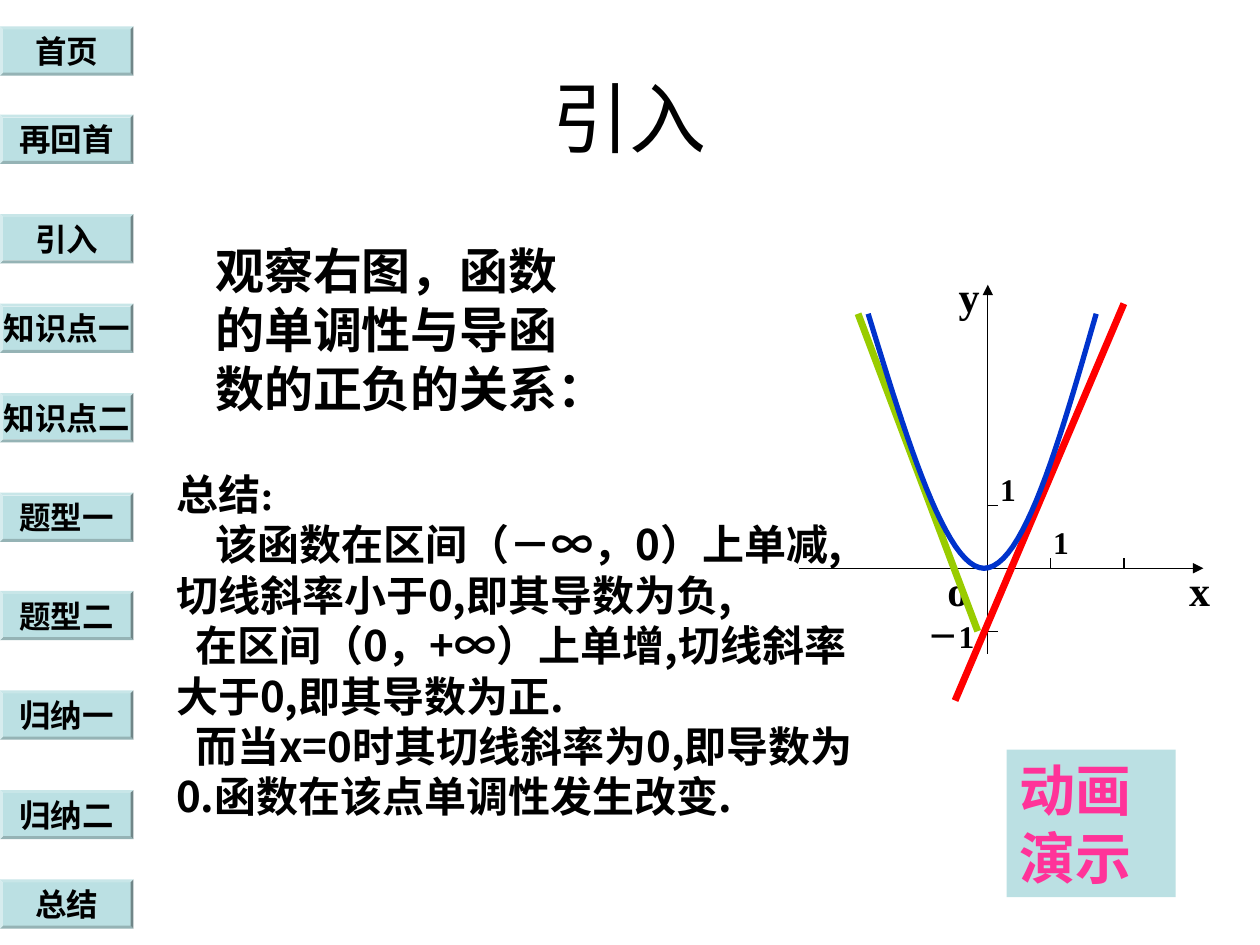
import pptx
import pptx.util
import pptx.dml.color
import pptx.enum.shapes
import pptx.enum.text
import pptx.oxml.ns
from lxml import etree
from pptx.util import Inches

COLORS = {"ink": "000000", "panel": "BBE0E3", "pink": "FF3399",
          "rising": "FF0000", "falling": "99CC00", "curve": "0033CC"}
CJK = "Noto Sans CJK SC"
SERIF = "Times New Roman"

BUTTONS = [("首页", 0.21), ("再回首", 0.91), ("引入", 1.7), ("知识点一", 2.41),
           ("知识点二", 3.12), ("题型一", 3.91), ("题型二", 4.69),
           ("归纳一", 5.48), ("归纳二", 6.27), ("总结", 6.98)]
AXES = [(7.84, 5.19, 7.84, 2.26), (6.34, 4.51, 9.55, 4.51)]
AXIS_LABELS = [("y", 7.51, 2.1, 24), ("x", 9.34, 4.43, 24), ("o", 7.42, 4.43, 24),
               ("1", 8.26, 4.1, 18), ("1", 7.84, 3.68, 18), ("－1", 7.26, 4.85, 18)]
TICKS = [(8.34, 4.51, 8.34, 4.43), (8.92, 4.51, 8.92, 4.43),
         (7.84, 5.01, 7.92, 5.01), (7.84, 4.01, 7.92, 4.01)]
TANGENTS = [("rising", (7.58, 5.56, 8.92, 2.41)),
            ("falling", (6.81, 2.49, 7.76, 5.01))]
PARABOLA = [[(6.89, 2.49), (7.2, 3.5), (7.51, 4.51), (7.81, 4.51)],
            [(7.81, 4.51), (8.12, 4.51), (8.41, 3.5), (8.7, 2.49)]]
SUMMARY = [
    (0, [("总结:", SERIF)]),
    (0.31, [("该函数在区间", SERIF), ("（－∞，0）上单减,", CJK)]),
    (0, [("切线斜率小于0,即其导数为负,", CJK)]),
    (0.15, [("在区间（0，+∞）上单增,切线斜率大于0,即其导数为正.", CJK)]),
    (0.15, [("而当x=0时其切线斜率为0,即导数为0.函数在该点单调性发生改变.", CJK)]),
]


def rgb(name):
    return pptx.dml.color.RGBColor.from_string(COLORS[name])


def add_span(para, text, size, font="Arial", color="ink", bold=True):
    span = para.add_run()
    span.text = text
    span.font.size = pptx.util.Pt(size)
    span.font.bold = bold
    span.font.name = font
    span.font.color.rgb = rgb(color)
    east_asian = etree.SubElement(span.font._element, pptx.oxml.ns.qn("a:ea"))
    east_asian.set("typeface", CJK)


def set_line_height(para, size):
    para.line_spacing = pptx.util.Pt(round(size * 1.2, 1))


def add_box(shapes, left, top, width, height):
    box = shapes.add_textbox(Inches(left), Inches(top), Inches(width), Inches(height))
    box.text_frame.word_wrap = True
    return box


def add_panel(shapes, kind, left, top, width, height):
    panel = shapes.add_shape(kind, Inches(left), Inches(top),
                             Inches(width), Inches(height))
    panel.shadow.inherit = False
    panel.fill.solid()
    panel.fill.fore_color.rgb = rgb("panel")
    panel.line.fill.background()
    return panel


def add_button(shapes, label, top):
    button = add_panel(shapes, pptx.enum.shapes.MSO_SHAPE.BEVEL, 0, top, 1.06, 0.39)
    button.adjustments[0] = 0.06
    frame = button.text_frame
    frame.word_wrap = False
    frame.vertical_anchor = pptx.enum.text.MSO_ANCHOR.MIDDLE
    para = frame.paragraphs[0]
    para.alignment = pptx.enum.text.PP_ALIGN.CENTER
    add_span(para, label, 18)


def add_line(shapes, ends, color="ink", width=0.75, arrow=False):
    line = shapes.add_connector(pptx.enum.shapes.MSO_CONNECTOR.STRAIGHT,
                                *[Inches(value) for value in ends])
    line.line.color.rgb = rgb(color)
    line.line.width = pptx.util.Pt(width)
    if arrow:
        head = etree.SubElement(line.line._get_or_add_ln(),
                                pptx.oxml.ns.qn("a:tailEnd"))
        head.set("type", "triangle")
    etree.SubElement(line._element.spPr, pptx.oxml.ns.qn("a:effectLst"))


def bezier_point(controls, t):
    weights = ((1 - t) ** 3, 3 * t * (1 - t) ** 2, 3 * t ** 2 * (1 - t), t ** 3)
    return tuple(Inches(sum(weight * point[axis]
                            for weight, point in zip(weights, controls)))
                 for axis in (0, 1))


def add_parabola(shapes, steps=24):
    points = [bezier_point(controls, step / steps)
              for controls in PARABOLA for step in range(1, steps + 1)]
    start = bezier_point(PARABOLA[0], 0)
    builder = shapes.build_freeform(*start)
    builder.add_line_segments(points, close=False)
    curve = builder.convert_to_shape()
    curve.shadow.inherit = False
    curve.fill.background()
    curve.line.color.rgb = rgb("curve")
    curve.line.width = pptx.util.Pt(3)


def add_graph(page):
    shapes = page.shapes.add_group_shape().shapes
    for ends in AXES:
        add_line(shapes, ends, arrow=True)
    for label, left, top, size in AXIS_LABELS:
        box = add_box(shapes, left, top, 0.67, size / 60 + 0.1)
        add_span(box.text_frame.paragraphs[0], label, size, SERIF)
    for ends in TICKS:
        add_line(shapes, ends)
    for color, ends in TANGENTS:
        add_line(shapes, ends, color, 4)
    add_parabola(shapes)


def add_title(page):
    title = page.shapes.title
    title.left, title.top = Inches(0.5), Inches(0.3)
    title.width, title.height = Inches(9), Inches(1.25)
    title.text_frame.vertical_anchor = pptx.enum.text.MSO_ANCHOR.MIDDLE
    para = title.text_frame.paragraphs[0]
    para.alignment = pptx.enum.text.PP_ALIGN.CENTER
    add_span(para, "引入", 44, bold=False)


def add_question(page):
    box = add_box(page.shapes, 1.61, 1.86, 3.23, 1.5)
    para = box.text_frame.paragraphs[0]
    set_line_height(para, 28)
    add_span(para, "观察右图，函数的单调性与导函数的正负的关系：", 28)


def add_summary(page):
    frame = add_box(page.shapes, 1.3, 3.67, 5.75, 2.9).text_frame
    for index, (indent, spans) in enumerate(SUMMARY):
        para = frame.add_paragraph() if index else frame.paragraphs[0]
        set_line_height(para, 24)
        para._p.get_or_add_pPr().set("indent", str(Inches(indent)))
        for text, font in spans:
            add_span(para, text, 24, font)


def add_demo_panel(page):
    panel = add_panel(page.shapes, pptx.enum.shapes.MSO_SHAPE.RECTANGLE,
                      7.99, 5.95, 1.34, 1.17)
    frame = panel.text_frame
    frame.word_wrap = True
    frame.vertical_anchor = pptx.enum.text.MSO_ANCHOR.TOP
    para = frame.paragraphs[0]
    para.alignment = pptx.enum.text.PP_ALIGN.LEFT
    set_line_height(para, 32)
    add_span(para, "动画演示", 32, color="pink")


def main():
    deck = pptx.Presentation()
    deck.slide_width, deck.slide_height = Inches(10), Inches(7.5)
    page = deck.slides.add_slide(deck.slide_layouts[5])
    for label, top in BUTTONS:
        add_button(page.shapes, label, top)
    add_title(page)
    add_question(page)
    add_graph(page)
    add_summary(page)
    add_demo_panel(page)
    deck.save("out.pptx")


if __name__ == "__main__":
    main()
